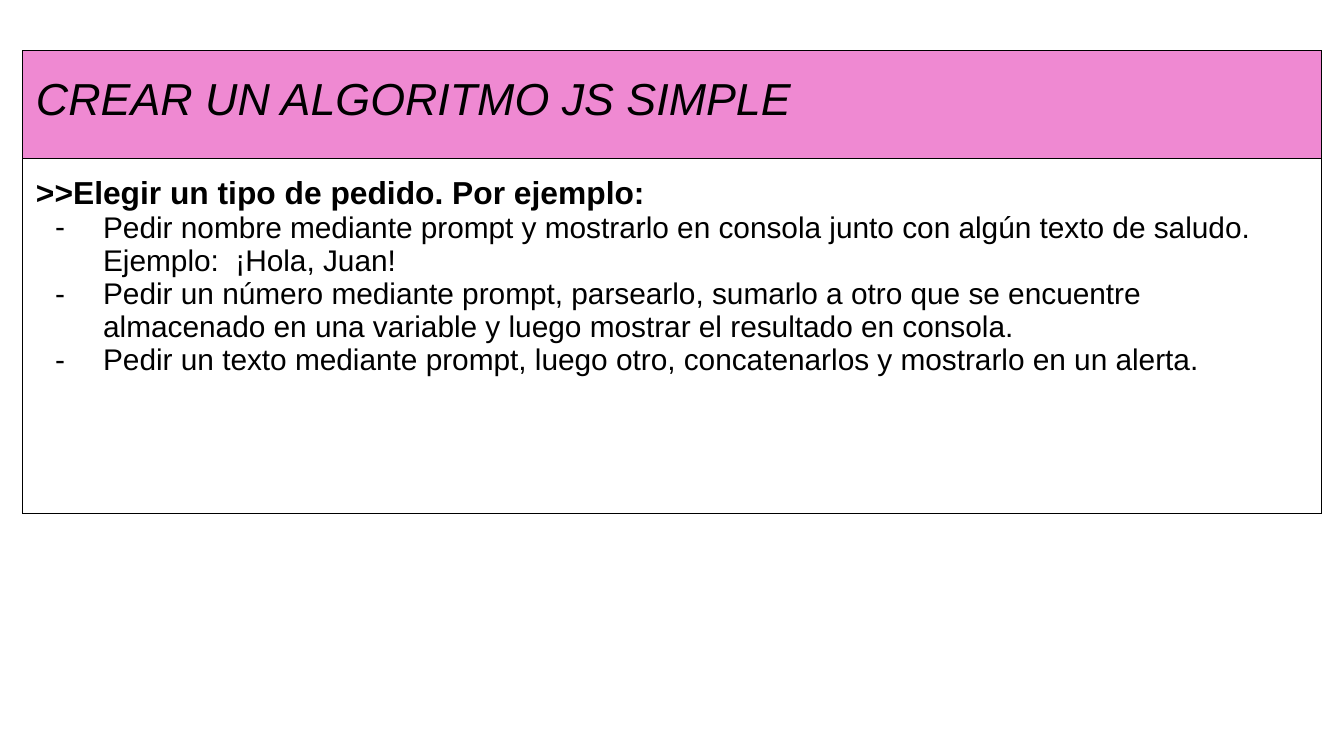
from lxml import etree
from pptx import Presentation
from pptx.dml.color import RGBColor
from pptx.oxml.ns import qn
from pptx.util import Cm, Pt

TITLE = "CREAR UN ALGORITMO JS SIMPLE"
LEAD = ">>Elegir un tipo de pedido. Por ejemplo:"
TASKS = [
    "Pedir nombre mediante prompt y mostrarlo en consola junto con algún "
    "texto de saludo. Ejemplo:  ¡Hola, Juan!",
    "Pedir un número mediante prompt, parsearlo, sumarlo a otro que se "
    "encuentre almacenado en una variable y luego mostrar el resultado en consola.",
    "Pedir un texto mediante prompt, luego otro, concatenarlos y mostrarlo "
    "en un alerta.",
]
HEX = {"pink": "EF89D2", "black": "000000"}
COLS = [8.18, 10.62, 5.74]
ROWS = [2.03, 6.71]
LEFT, TOP, PAD = 0.43, 0.96, 0.25
FORMATS = {
    "title": {"size": Pt(24), "italic": True, "bold": False},
    "lead": {"size": Pt(17), "bold": True},
    "task": {"size": Pt(16), "bold": False},
}


def write(para, words, style):
    para.text = words
    font = para.runs[0].font
    for key, value in FORMATS[style].items():
        setattr(font, key, value)
    font.name = "Arial"
    font.color.rgb = RGBColor.from_string(HEX["black"])


def solid(parent, tag="a:solidFill"):
    fill = etree.SubElement(parent, qn(tag))
    etree.SubElement(fill, qn("a:srgbClr"), val=HEX["black"])


def dash(para):
    """Give the paragraph a hanging dash bullet."""
    props = para._p.get_or_add_pPr()
    props.set("marL", str(Cm(1.27)))
    props.set("indent", str(-Cm(0.91)))
    solid(props, "a:buClr")
    etree.SubElement(props, qn("a:buFont"), typeface="Arial")
    etree.SubElement(props, qn("a:buChar"), char="-")


def border(cell):
    props = cell._tc.get_or_add_tcPr()
    for place, side in enumerate("LRTB"):
        line = etree.Element(qn(f"a:ln{side}"), w=str(Pt(0.75)))
        solid(line)
        props.insert(place, line)


deck = Presentation()
deck.slide_width, deck.slide_height = Cm(25.4), Cm(14.29)
slide = deck.slides.add_slide(deck.slide_layouts[6])
table = slide.shapes.add_table(
    len(ROWS), len(COLS), Cm(LEFT), Cm(TOP), Cm(sum(COLS)), Cm(sum(ROWS))
).table
table.first_row = table.horz_banding = False
for col, width in zip(table.columns, COLS):
    col.width = Cm(width)

for num, (height, tint, top) in enumerate(zip(ROWS, ("pink", None), (0.46, 0.33))):
    row = table.rows[num]
    row.height = Cm(height)
    for cell in row.cells:
        if tint:
            cell.fill.solid()
            cell.fill.fore_color.rgb = RGBColor.from_string(HEX[tint])
        else:
            cell.fill.background()
        border(cell)
    head = table.cell(num, 0)
    head.merge(table.cell(num, len(COLS) - 1))
    head.margin_left = head.margin_right = head.margin_bottom = Cm(PAD)
    head.margin_top = Cm(top)

write(table.cell(0, 0).text_frame.paragraphs[0], TITLE, "title")
body = table.cell(1, 0).text_frame
write(body.paragraphs[0], LEAD, "lead")
for task in TASKS:
    para = body.add_paragraph()
    dash(para)
    write(para, task, "task")

deck.save("out.pptx")
